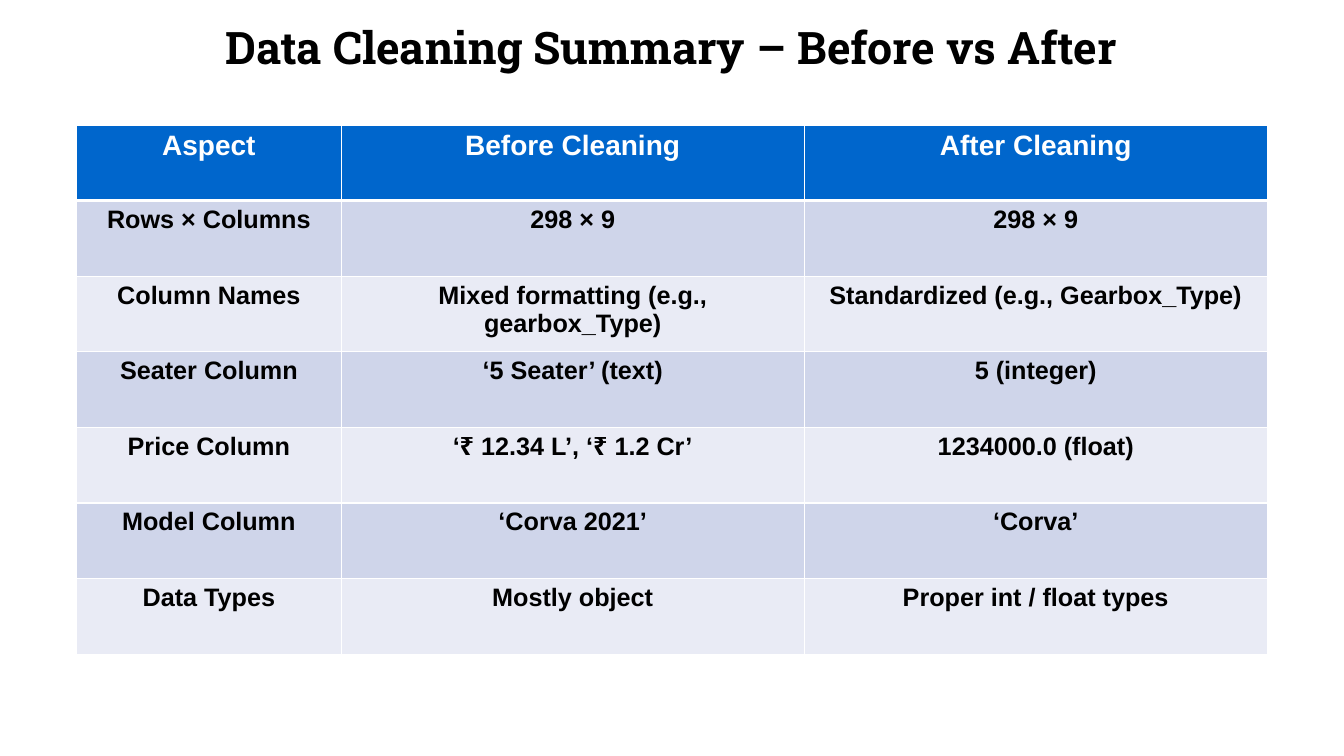
"""Build the slide that compares a data set before and after cleaning."""
from lxml.etree import SubElement
from pptx import Presentation
from pptx.dml.color import RGBColor
from pptx.enum.text import MSO_ANCHOR as Anchor, PP_ALIGN as Align
from pptx.oxml.ns import qn
from pptx.util import Pt

EMU_PER_PX = 9525
COLORS = {
    "title": "000000",
    "header": "0066CC",
    "header_text": "FFFFFF",
    "odd_row": "CFD5EA",
    "even_row": "E9EBF5",
    "body_text": "000000",
    "border": "FFFFFF",
}
TITLE_FONT = {"name": "Roboto Slab", "size": Pt(32), "bold": True}
HEADER_FONT = {"name": "Arial", "size": Pt(20), "bold": True}
BODY_FONT = {"name": "Arial", "size": Pt(18), "bold": True}
COLUMN_WIDTHS = [252, 441, 441]
ROW_HEIGHT = 72
SUMMARY = [
    ("Aspect", "Before Cleaning", "After Cleaning"),
    ("Rows × Columns", "298 × 9", "298 × 9"),
    ("Column Names", "Mixed formatting (e.g., gearbox_Type)",
     "Standardized (e.g., Gearbox_Type)"),
    ("Seater Column", "‘5 Seater’ (text)", "5 (integer)"),
    ("Price Column", "‘₹ 12.34 L’, ‘₹ 1.2 Cr’", "1234000.0 (float)"),
    ("Model Column", "‘Corva 2021’", "‘Corva’"),
    ("Data Types", "Mostly object", "Proper int / float types"),
]


def px(*lengths):
    """Return the pixel lengths in EMU."""
    return [length * EMU_PER_PX for length in lengths]


def write_text(text_frame, text, font_values, color):
    """Write one centred, formatted paragraph and return it."""
    paragraph = text_frame.paragraphs[0]
    paragraph.alignment = Align.CENTER
    run = paragraph.add_run()
    run.text = text
    for name, value in font_values.items():
        setattr(run.font, name, value)
    run.font.color.rgb = RGBColor.from_string(COLORS[color])
    return paragraph


def add_title(slide, text):
    """Add the slide title."""
    text_frame = slide.shapes.add_textbox(*px(73, 17, 1134, 61)).text_frame
    text_frame.word_wrap = True
    text_frame.vertical_anchor = Anchor.MIDDLE
    write_text(text_frame, text, TITLE_FONT, "title").line_spacing = 0.9


def add_borders(cell, bottom_width):
    """Draw one-point cell borders with the given width at the bottom."""
    properties = cell._tc.get_or_add_tcPr()
    for side, width in {"L": 1, "R": 1, "T": 1, "B": bottom_width}.items():
        line = SubElement(properties, qn(f"a:ln{side}"), w=str(Pt(width)))
        fill = SubElement(line, qn("a:solidFill"))
        SubElement(fill, qn("a:srgbClr"), val=COLORS["border"])


def fill_cell(cell, text, row_index):
    """Format one cell according to its row."""
    is_header = row_index == 0
    add_borders(cell, 3 if is_header else 1)
    band = "header" if is_header else "odd_row" if row_index % 2 else "even_row"
    cell.fill.solid()
    cell.fill.fore_color.rgb = RGBColor.from_string(COLORS[band])
    font_values = HEADER_FONT if is_header else BODY_FONT
    text_color = "header_text" if is_header else "body_text"
    write_text(cell.text_frame, text, font_values, text_color)


def add_summary_table(slide, rows):
    """Add the comparison table."""
    size = sum(COLUMN_WIDTHS), ROW_HEIGHT * len(rows)
    table = slide.shapes.add_table(
        len(rows), len(COLUMN_WIDTHS), *px(73, 119, *size)).table
    for column, width in zip(table.columns, px(*COLUMN_WIDTHS)):
        column.width = width
    for row_index, texts in enumerate(rows):
        for column_index, text in enumerate(texts):
            fill_cell(table.cell(row_index, column_index), text, row_index)


def main():
    """Build and save the presentation."""
    presentation = Presentation()
    presentation.slide_width, presentation.slide_height = px(1280, 720)
    slide = presentation.slides.add_slide(presentation.slide_layouts[6])
    add_title(slide, "Data Cleaning Summary – Before vs After")
    add_summary_table(slide, SUMMARY)
    presentation.save("out.pptx")


if __name__ == "__main__":
    main()
